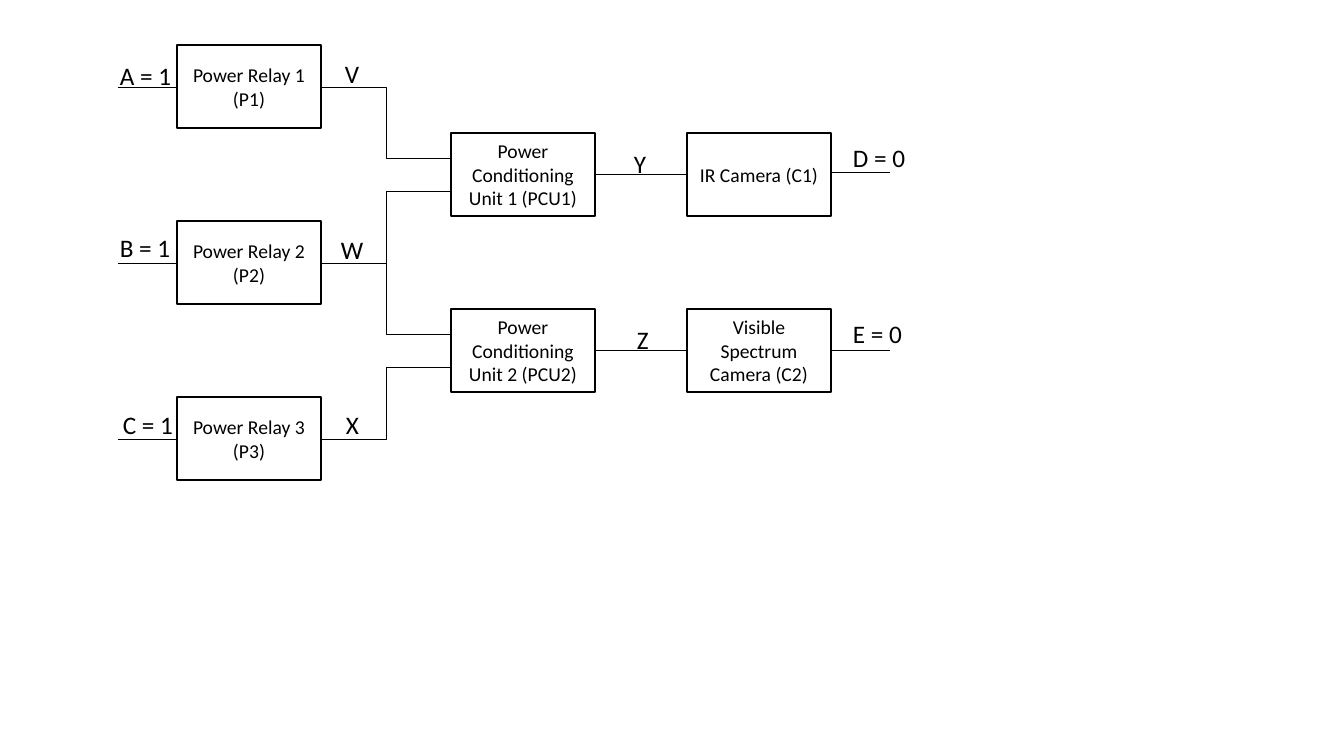
import pptx
import pptx.util
import pptx.dml.color
import pptx.enum.shapes
import pptx.enum.text
import pptx.oxml.ns
import lxml.etree

BLACK = pptx.dml.color.RGBColor(0, 0, 0)
FONT = "Calibri"
EMU_PER_PX = 914400 / 100.8

RELAYS = ["Power Relay 1 (P1)", "Power Relay 2 (P2)", "Power Relay 3 (P3)"]
CONDITIONERS = ["Power Conditioning Unit 1 (PCU1)", "Power Conditioning Unit 2 (PCU2)"]
CAMERAS = ["IR Camera (C1)", "Visible Spectrum Camera (C2)"]
FEEDS = [(0, 0, -16), (2, 1, 17), (1, 0, 17), (1, 1, -16)]
SIGNALS = [
    ("A = 1", 110, 55, 73), ("B = 1", 110, 227, 72), ("C = 1", 113, 404, 72),
    ("D = 0", 843, 137, 74), ("E = 0", 843, 313, 70),
    ("V", 335, 53, 35), ("W", 331, 229, 43), ("X", 336, 404, 33),
    ("Y", 624, 143, 32), ("Z", 627, 319, 28),
]

BOX_W, BOX_H, ROW_PITCH = 144, 83, 176
RELAY_X, CONDITIONER_X, CAMERA_X = 177, 451, 687
RELAY_TOP, UNIT_TOP = 45, 133
STUB, SIGNAL_H = 59, 40


def px(length):
    return pptx.util.Emu(round(length * EMU_PER_PX))


deck = pptx.Presentation()
deck.slide_width, deck.slide_height = px(1344), px(756)
slide = deck.slides.add_slide(deck.slide_layouts[6])


def write(shape, text, size, align, anchor, wrap):
    frame = shape.text_frame
    frame.word_wrap = wrap
    frame.vertical_anchor = anchor
    paragraph = frame.paragraphs[0]
    paragraph.alignment = align
    run = paragraph.add_run()
    run.text = text
    run.font.name = FONT
    run.font.size = pptx.util.Pt(size)
    run.font.color.rgb = BLACK


def add_block(text, left, top):
    block = slide.shapes.add_shape(
        pptx.enum.shapes.MSO_SHAPE.RECTANGLE, px(left), px(top), px(BOX_W), px(BOX_H))
    block.shadow.inherit = False
    block.fill.background()
    block.line.color.rgb = BLACK
    block.line.width = pptx.util.Pt(1)
    write(block, text, 14, pptx.enum.text.PP_ALIGN.CENTER,
          pptx.enum.text.MSO_ANCHOR.MIDDLE, True)


def add_wire(x1, y1, x2, y2):
    kinds = pptx.enum.shapes.MSO_CONNECTOR
    kind = kinds.STRAIGHT if y1 == y2 else kinds.ELBOW
    wire = slide.shapes.add_connector(kind, px(x1), px(y1), px(x2), px(y2))
    wire.line.color.rgb = BLACK
    wire.line.width = pptx.util.Pt(0.5)
    lxml.etree.SubElement(wire._element.spPr, pptx.oxml.ns.qn("a:effectLst"))


def relay_middle(row):
    return RELAY_TOP + row * ROW_PITCH + BOX_H // 2 + 1


def unit_middle(row):
    return UNIT_TOP + row * ROW_PITCH + BOX_H // 2


for row, relay in enumerate(RELAYS):
    add_block(relay, RELAY_X, RELAY_TOP + row * ROW_PITCH)
    add_wire(RELAY_X - STUB, relay_middle(row), RELAY_X, relay_middle(row))

for row, (conditioner, camera) in enumerate(zip(CONDITIONERS, CAMERAS)):
    top, middle = UNIT_TOP + row * ROW_PITCH, unit_middle(row)
    add_block(conditioner, CONDITIONER_X, top)
    add_block(camera, CAMERA_X, top)
    add_wire(CONDITIONER_X + BOX_W, middle, CAMERA_X, middle)
    output = middle - 2 * (row == 0)
    add_wire(CAMERA_X + BOX_W, output, CAMERA_X + BOX_W + STUB, output)

for relay_row, unit_row, offset in FEEDS:
    add_wire(RELAY_X + BOX_W, relay_middle(relay_row),
             CONDITIONER_X, unit_middle(unit_row) + offset)

for signal, left, top, width in SIGNALS:
    label = slide.shapes.add_textbox(px(left), px(top), px(width), px(SIGNAL_H))
    write(label, signal, 18, pptx.enum.text.PP_ALIGN.LEFT,
          pptx.enum.text.MSO_ANCHOR.TOP, False)

deck.save("out.pptx")
